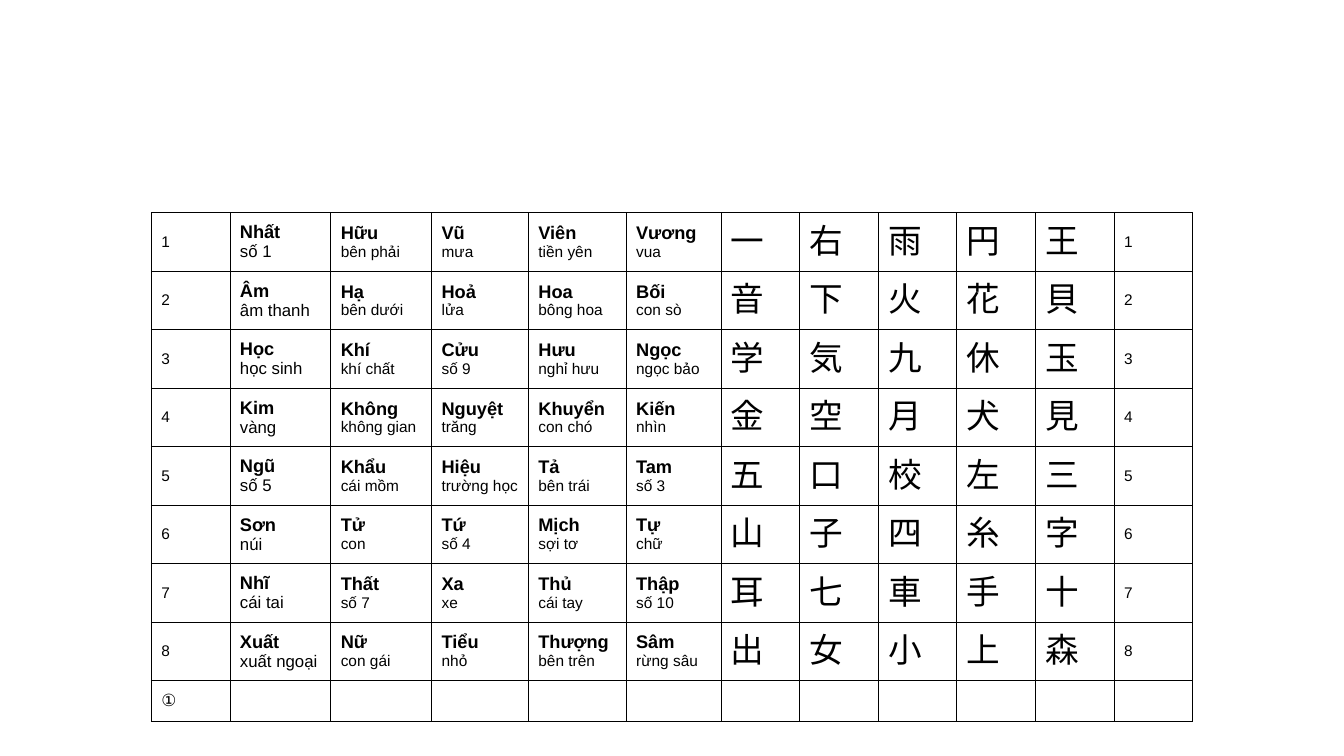
from lxml.etree import SubElement
from pptx import Presentation
from pptx.dml.color import RGBColor
from pptx.enum.lang import MSO_LANGUAGE_ID
from pptx.enum.text import MSO_ANCHOR
from pptx.oxml.ns import qn
from pptx.util import Inches, Pt

COLORS = {"ink": "000000"}
FORMATS = {
    "number": {"name": "Arial", "size": Pt(11), "bold": False},
    "reading": {"name": "Arial", "size": Pt(13), "bold": True},
    "first_meaning": {"name": "Arial", "size": Pt(12), "bold": False},
    "meaning": {"name": "Arial", "size": Pt(11), "bold": False},
    "kanji": {"name": "Roboto", "size": Pt(24), "bold": False,
              "language_id": MSO_LANGUAGE_ID.JAPANESE},
    "marker": {"name": "Roboto", "size": Pt(12), "bold": False},
}
COLUMN_WIDTHS = [0.78, 1, 1, 0.96, 0.97, 0.94] + [0.78] * 6
KANJI_ROW_HEIGHT = 0.58
LAST_ROW_HEIGHT = 0.41
BORDER_WIDTH = Pt(0.5)

LESSON = [
    ("一右雨円王", [("Nhất", "số 1"), ("Hữu", "bên phải"), ("Vũ", "mưa"),
                ("Viên", "tiền yên"), ("Vương", "vua")]),
    ("音下火花貝", [("Âm", "âm thanh"), ("Hạ", "bên dưới"), ("Hoả", "lửa"),
                ("Hoa", "bông hoa"), ("Bối", "con sò")]),
    ("学気九休玉", [("Học", "học sinh"), ("Khí", "khí chất"), ("Cửu", "số 9"),
                ("Hưu", "nghỉ hưu"), ("Ngọc", "ngọc bảo")]),
    ("金空月犬見", [("Kim", "vàng"), ("Không", "không gian"), ("Nguyệt", "trăng"),
                ("Khuyển", "con chó"), ("Kiến", "nhìn")]),
    ("五口校左三", [("Ngũ", "số 5"), ("Khẩu", "cái mồm"), ("Hiệu", "trường học"),
                ("Tả", "bên trái"), ("Tam", "số 3")]),
    ("山子四糸字", [("Sơn", "núi"), ("Tử", "con"), ("Tứ", "số 4"),
                ("Mịch", "sợi tơ"), ("Tự", "chữ")]),
    ("耳七車手十", [("Nhĩ", "cái tai"), ("Thất", "số 7"), ("Xa", "xe"),
                ("Thủ", "cái tay"), ("Thập", "số 10")]),
    ("出女小上森", [("Xuất", "xuất ngoại"), ("Nữ", "con gái"), ("Tiểu", "nhỏ"),
                ("Thượng", "bên trên"), ("Sâm", "rừng sâu")]),
]


def style_cell(cell):
    """Give a cell thin borders, no fill and middle anchoring."""
    properties = cell._tc.get_or_add_tcPr()
    for side in ("a:lnL", "a:lnR", "a:lnT", "a:lnB"):
        line = SubElement(properties, qn(side), w=str(BORDER_WIDTH))
        fill = SubElement(line, qn("a:solidFill"))
        SubElement(fill, qn("a:srgbClr"), val=COLORS["ink"])
    cell.fill.background()
    cell.vertical_anchor = MSO_ANCHOR.MIDDLE


def add_run(paragraph, text, format_name):
    """Add a run of text in one of the named formats."""
    run = paragraph.add_run()
    run.text = text
    for attribute, value in FORMATS[format_name].items():
        setattr(run.font, attribute, value)
    run.font.color.rgb = RGBColor.from_string(COLORS["ink"])
    SubElement(run.font._element, qn("a:ea"), typeface=FORMATS[format_name]["name"])


def write_cell(cell, *lines):
    """Write lines of (text, format name) into one paragraph."""
    paragraph = cell.text_frame.paragraphs[0]
    for index, (text, format_name) in enumerate(lines):
        if index:
            paragraph.add_line_break()
        add_run(paragraph, text, format_name)


def fill_lesson_row(table, row, kanji, readings):
    """Write the number, readings, kanji and closing number of a row."""
    number = (str(row + 1), "number")
    write_cell(table.cell(row, 0), number)
    for column, (reading, meaning) in enumerate(readings, 1):
        meaning_format = "first_meaning" if column == 1 else "meaning"
        write_cell(table.cell(row, column), (reading, "reading"), (meaning, meaning_format))
    for column, character in enumerate(kanji, 1 + len(readings)):
        write_cell(table.cell(row, column), (character, "kanji"))
    write_cell(table.cell(row, len(COLUMN_WIDTHS) - 1), number)


def add_kanji_table(slide):
    """Add the bordered table of readings and kanji."""
    heights = [KANJI_ROW_HEIGHT] * len(LESSON) + [LAST_ROW_HEIGHT]
    table = slide.shapes.add_table(
        len(heights), len(COLUMN_WIDTHS), Inches(1.5), Inches(2.11),
        Inches(sum(COLUMN_WIDTHS)), Inches(sum(heights))).table
    table.first_row = table.horz_banding = False
    for column, width in zip(table.columns, COLUMN_WIDTHS):
        column.width = Inches(width)
    for row, height in zip(table.rows, heights):
        row.height = Inches(height)
    for cell in table.iter_cells():
        style_cell(cell)
    for row, (kanji, readings) in enumerate(LESSON):
        fill_lesson_row(table, row, kanji, readings)
    write_cell(table.cell(len(LESSON), 0), ("①", "marker"))


def main():
    """Build the slide and save it."""
    presentation = Presentation()
    presentation.slide_width = Inches(13.33)
    presentation.slide_height = Inches(7.5)
    slide = presentation.slides.add_slide(presentation.slide_layouts[6])
    add_kanji_table(slide)
    presentation.save("out.pptx")


if __name__ == "__main__":
    main()
